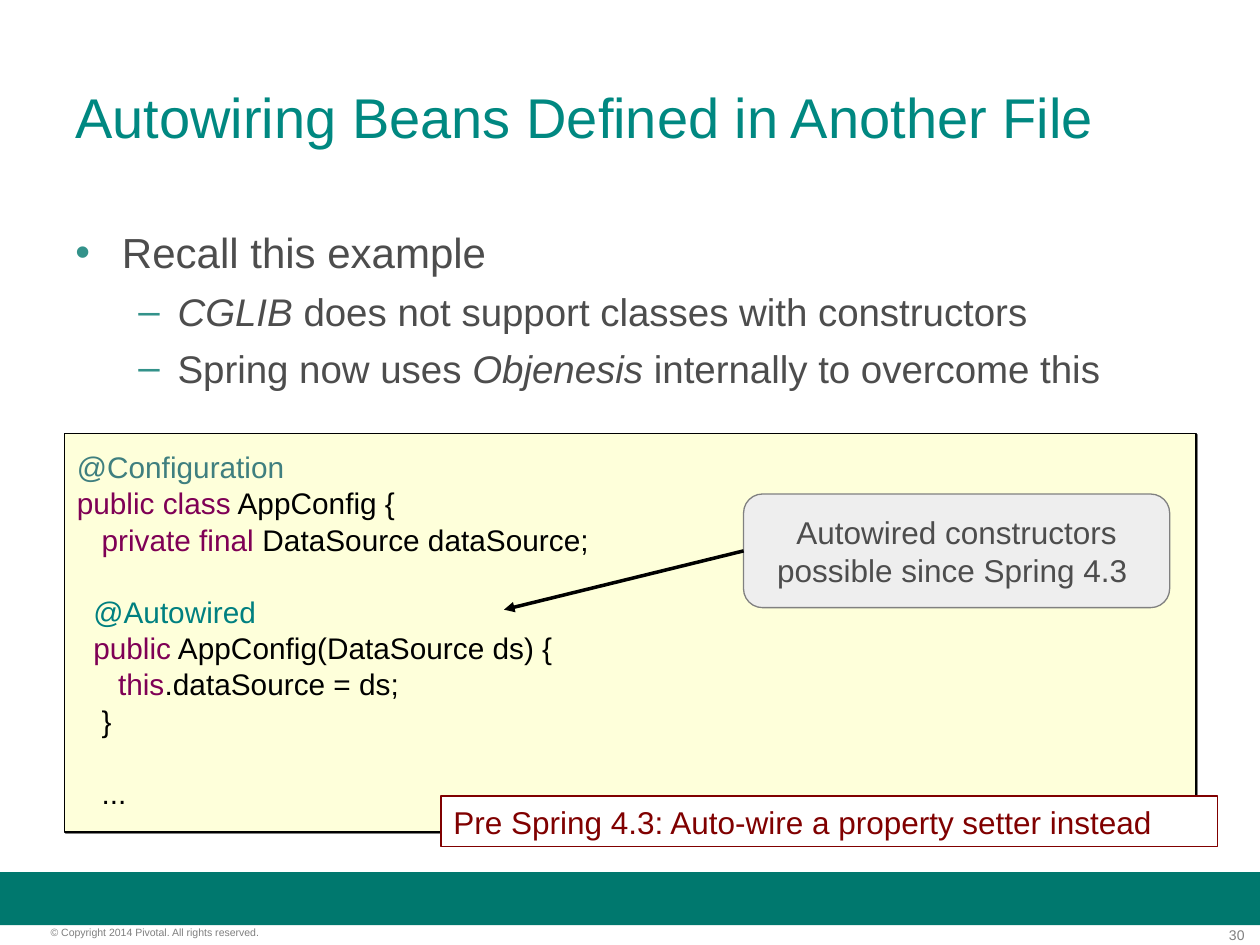
from dataclasses import dataclass

from lxml import etree
from pptx import Presentation
from pptx.dml.color import RGBColor
from pptx.enum.shapes import MSO_CONNECTOR, MSO_SHAPE
from pptx.enum.text import MSO_ANCHOR, PP_ALIGN
from pptx.oxml import parse_xml
from pptx.oxml.ns import nsdecls, qn
from pptx.util import Cm, Pt

RECT = MSO_SHAPE.RECTANGLE
ROUND = MSO_SHAPE.ROUNDED_RECTANGLE
LINE = MSO_CONNECTOR.STRAIGHT
TOP, MID = MSO_ANCHOR.TOP, MSO_ANCHOR.MIDDLE
LEFT, MIDDLE, RIGHT = PP_ALIGN.LEFT, PP_ALIGN.CENTER, PP_ALIGN.RIGHT


@dataclass(frozen=True)
class Theme:
    face: str = "Arial"
    band: str = "00786E"
    head: str = "008881"
    mark: str = "33928A"
    body: str = "4D4D4D"
    faint: str = "7F7F7F"
    edge: str = "808080"
    pale: str = "EEEEEE"
    cream: str = "FEFFDA"
    white: str = "FFFFFF"
    black: str = "000000"
    alert: str = "800000"
    key: str = "7F0055"
    tag: str = "3F7F7F"
    wire: str = "008080"
    title: int = 32
    top: int = 24
    sub: int = 22
    note: int = 18
    code: int = 17
    page: int = 8
    legal: int = 6


T = Theme()

POINTS = [
    (0, [("Recall this example", False)]),
    (1, [("CGLIB", True), (" does not support classes with constructors", False)]),
    (1, [("Spring now uses ", False), ("Objenesis", True),
         (" internally to overcome this", False)]),
]
LEVELS = [("•", T.top, 0.94, 0.94), ("–", T.sub, 2.06, 0.79)]

CODE = [
    (False, [("@Configuration", T.tag)]),
    (False, [("public class", T.key), (" AppConfig {", T.black)]),
    (False, [("   private final ", T.key), ("DataSource dataSource;", T.black)]),
    (True, [("  @Autowired", T.wire)]),
    (False, [("  public", T.key), (" AppConfig(DataSource ds) {", T.black)]),
    (False, [("     this", T.key), (".dataSource = ds;", T.black)]),
    (False, [("   }", T.black)]),
    (True, [("   ...", T.black)]),
]
GAP, PITCH = 4.5, 20.1


def rgb(tint):
    return RGBColor.from_string(tint)


def style(run, size, tint, slant=False):
    font = run.font
    font.name, font.size, font.italic = T.face, Pt(size), slant
    font.color.rgb = rgb(tint)


def add_run(para, text, size, tint, slant=False):
    run = para.add_run()
    run.text = text
    style(run, size, tint, slant)


def set_text(shape, text, size, tint, align=LEFT):
    para = shape.text_frame.paragraphs[0]
    para.text = text
    para.alignment = align
    style(para.runs[0], size, tint)


def add_box(slide, box, anchor=TOP, bare=False):
    shape = slide.shapes.add_textbox(*map(Cm, box))
    frame = shape.text_frame
    frame.word_wrap = True
    frame.vertical_anchor = anchor
    if bare:
        frame.margin_left = frame.margin_right = 0
        frame.margin_top = frame.margin_bottom = 0
    return shape


def add_panel(slide, box, fill, line=None, width=0, kind=RECT):
    shape = slide.shapes.add_shape(kind, *map(Cm, box))
    shape.shadow.inherit = False
    shape.fill.solid()
    shape.fill.fore_color.rgb = rgb(fill)
    if line:
        shape.line.color.rgb = rgb(line)
        shape.line.width = Pt(width)
    else:
        shape.line.fill.background()
    shape.text_frame.word_wrap = True
    shape.text_frame.vertical_anchor = MID
    return shape


def add_foot(slide, box):
    x, y, w, h = box
    add_panel(slide, (x, y, w, 1.07), T.band)
    row = y + 1.09
    page = add_box(slide, (x + w - 1.78, row, 1.47, 0.33), bare=True)
    set_text(page, "30", T.page, T.faint, RIGHT)
    legal = add_box(slide, (x + 1.02, row, 6.32, 0.25), bare=True)
    set_text(legal, "© Copyright 2014 Pivotal. All rights reserved.", T.legal, T.faint)


def add_title(slide, box):
    shape = add_box(slide, box, MID)
    set_text(shape, "Autowiring Beans Defined in Another File", T.title, T.head)


def add_points(slide, box):
    frame = add_box(slide, box).text_frame
    for i, (level, parts) in enumerate(POINTS):
        para = frame.add_paragraph() if i else frame.paragraphs[0]
        mark, size, left, hang = LEVELS[level]
        para.level = level
        para.space_before = Pt(6 if i else 0)
        props = para._p.get_or_add_pPr()
        props.set("marL", str(Cm(left)))
        props.set("indent", str(-Cm(hang)))
        tint = etree.SubElement(props, qn("a:buClr"))
        etree.SubElement(tint, qn("a:srgbClr"), val=T.mark)
        etree.SubElement(props, qn("a:buFont"), typeface=T.face)
        etree.SubElement(props, qn("a:buChar"), char=mark)
        for text, slant in parts:
            add_run(para, text, size, T.body, slant)


def add_shade(shape):
    props = shape._element.spPr
    props.remove(props.find(qn("a:effectLst")))
    props.append(parse_xml(
        f'<a:effectLst {nsdecls("a")}><a:outerShdw dist="{Pt(1.4)}" dir="2700000">'
        f'<a:srgbClr val="{T.edge}"/></a:outerShdw></a:effectLst>'))


def add_code(slide, box):
    x, y, w, h = box
    panel = add_panel(slide, box, T.cream, T.black, 1)
    add_shade(panel)
    frame = panel.text_frame
    for i, (gap, parts) in enumerate(CODE):
        para = frame.add_paragraph() if i else frame.paragraphs[0]
        para.alignment = LEFT
        para.line_spacing = 0.8
        para.space_before = Pt(GAP + PITCH * gap if i else 0)
        for text, tint in parts:
            add_run(para, text, T.code, tint)

    note = add_panel(slide, (x + 7.59, y + 7.31, 15.65, 1.02), T.white, T.alert)
    set_text(note, "Pre Spring 4.3: Auto-wire a property setter instead", T.note, T.alert)
    add_call(slide, (x + 13.69, y + 1.22, 8.59, 2.29))


def add_call(slide, box):
    x, y, w, h = box
    call = add_panel(slide, box, T.pale, T.edge, kind=ROUND)
    set_text(call, "Autowired constructors possible since Spring 4.3 ", T.note, T.body, MIDDLE)
    arrow = slide.shapes.add_connector(
        LINE, Cm(x), Cm(y + h / 2), Cm(x - 4.83), Cm(y + 2.33))
    arrow.begin_connect(call, 1)
    arrow.line.color.rgb = rgb(T.black)
    arrow.line.width = Pt(0)
    etree.SubElement(arrow.line._get_or_add_ln(), qn("a:tailEnd"), type="triangle")
    etree.SubElement(arrow._element.spPr, qn("a:effectLst"))


def main():
    deck = Presentation()
    deck.slide_width, deck.slide_height = Cm(25.4), Cm(19.05)
    slide = deck.slides.add_slide(deck.slide_layouts[6])
    add_foot(slide, (0, 17.58, 25.4, 1.47))
    add_title(slide, (1.27, 0.76, 22.86, 3.18))
    add_points(slide, (1.27, 4.45, 22.86, 3.56))
    add_code(slide, (1.3, 8.74, 22.81, 8.03))
    deck.save("out.pptx")


if __name__ == "__main__":
    main()
